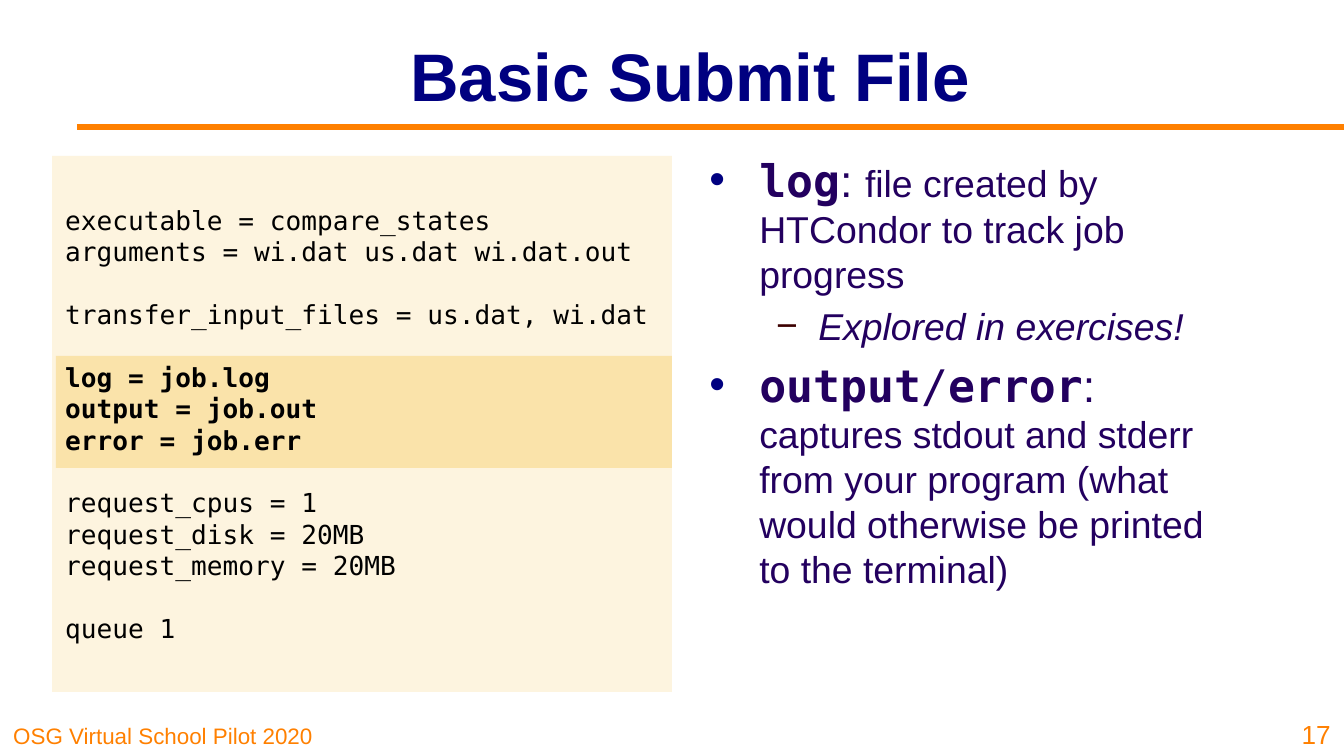
from lxml.etree import SubElement
from pptx import Presentation
from pptx.dml.color import RGBColor
from pptx.enum.shapes import MSO_CONNECTOR as Connector, MSO_SHAPE as Shape
from pptx.enum.text import MSO_ANCHOR as Anchor, PP_ALIGN as Align
from pptx.oxml.ns import qn
from pptx.util import Pt

EMU_PER_PX = 914400 * 10 / 1344
SANS, MONO = "Arial", "DejaVu Sans Mono"
COLORS = {
    "navy": "000080", "orange": "FF8000", "purple": "23005F", "maroon": "3C0000",
    "black": "000000", "cream": "FDF4DF", "amber": "FAE3AA",
}
TERM = dict(name=MONO, size=24, bold=True, color="purple")
SLASH = dict(TERM, bold=False)
COLON = dict(name=SANS, size=24, color="purple")
PLAIN = dict(COLON, size=20)
ASIDE = dict(PLAIN, italic=True)
CODE = dict(name=MONO, size=14, color="black")

# level: (bullet, bullet colour, left margin px, hanging px, space before pt)
BULLETS = {0: ("•", "navy", 50, 50, 5), 1: ("−", "maroon", 109, 42, 4)}
EXPLANATIONS = [
    (0, [("log", TERM), (": ", COLON),
         ("file created by HTCondor to track job progress", PLAIN)]),
    (1, [("Explored in exercises!", ASIDE)]),
    (0, [("output", TERM), ("/", SLASH), ("error", TERM), (": ", COLON),
         ("captures stdout and stderr from your program "
          "(what would otherwise be printed to the terminal)", PLAIN)]),
]
SUBMIT_FILE = [
    ["executable = compare_states", "arguments = wi.dat us.dat wi.dat.out"],
    ["transfer_input_files = us.dat, wi.dat"],
    ["log = job.log", "output = job.out", "error = job.err"],
    ["request_cpus = 1", "request_disk = 20MB", "request_memory = 20MB"],
    ["queue 1"],
]
HIGHLIGHTED = 2
CODE_LINE = 16.8


def px(*lengths):
    return [round(length * EMU_PER_PX) for length in lengths]


def rgb(color):
    return RGBColor.from_string(COLORS[color])


class SlideBuilder:
    """Holds the slide being built and the way its elements are styled."""

    def __init__(self, slide):
        self.slide = slide

    def add_text(self, paragraph, text, style):
        run = paragraph.add_run()
        run.text = text
        for key, value in style.items():
            if key == "color":
                run.font.color.rgb = rgb(value)
            else:
                setattr(run.font, key, Pt(value) if key == "size" else value)

    def title(self, box, text, style):
        holder = self.slide.shapes.title
        holder.left, holder.top, holder.width, holder.height = px(*box)
        frame = holder.text_frame
        frame.vertical_anchor = Anchor.MIDDLE
        frame.paragraphs[0].alignment = Align.CENTER
        self.add_text(frame.paragraphs[0], text, style)

    def rule(self, x1, x2, y, color, width):
        line = self.slide.shapes.add_connector(Connector.STRAIGHT, *px(x1, y, x2, y))
        line.line.color.rgb = rgb(color)
        line.line.width = Pt(width)
        SubElement(line._element.spPr, qn("a:effectLst"))

    def panel(self, box, color):
        panel = self.slide.shapes.add_shape(Shape.RECTANGLE, *px(*box))
        panel.shadow.inherit = False
        panel.fill.solid()
        panel.fill.fore_color.rgb = rgb(color)
        panel.line.fill.background()

    def frame(self, box, anchor):
        frame = self.slide.shapes.add_textbox(*px(*box)).text_frame
        frame.word_wrap = True
        frame.vertical_anchor = anchor
        return frame

    def label(self, box, text, style, align=Align.LEFT):
        paragraph = self.frame(box, Anchor.BOTTOM).paragraphs[0]
        paragraph.alignment = align
        self.add_text(paragraph, text, style)

    def bullets(self, box, items):
        frame = self.frame(box, Anchor.TOP)
        for index, (level, runs) in enumerate(items):
            paragraph = frame.add_paragraph() if index else frame.paragraphs[0]
            mark, color, margin, hanging, space = BULLETS[level]
            paragraph.level = level
            props = paragraph._p.get_or_add_pPr()
            margin, hanging = px(margin, hanging)
            props.set("marL", str(margin))
            props.set("indent", str(-hanging))
            SubElement(SubElement(props, qn("a:buClr")), qn("a:srgbClr"), val=COLORS[color])
            SubElement(props, qn("a:buFont"), typeface=SANS)
            SubElement(props, qn("a:buChar"), char=mark)
            if index:
                paragraph.space_before = Pt(space)
            for text, style in runs:
                self.add_text(paragraph, text, style)

    def code(self, box, groups):
        """Add groups of code lines, one line of space between groups."""
        frame = self.frame(box, Anchor.MIDDLE)
        for group_index, group in enumerate(groups):
            style = dict(CODE, bold=group_index == HIGHLIGHTED)
            for line_index, line in enumerate(group):
                first = group_index == line_index == 0
                paragraph = frame.paragraphs[0] if first else frame.add_paragraph()
                if line_index == 0 and not first:
                    paragraph.space_before = Pt(CODE_LINE)
                self.add_text(paragraph, line, style)


def main():
    deck = Presentation()
    deck.slide_width, deck.slide_height = px(1344, 756)
    builder = SlideBuilder(deck.slides.add_slide(deck.slide_layouts[5]))
    code_box = (52, 156, 620, 536)

    builder.label((0, 714, 333, 42), "OSG Virtual School Pilot 2020",
                  dict(name=SANS, size=12, color="orange"))
    builder.rule(77, 1344, 127, "orange", 3)
    builder.title((180, 12, 1021, 126), "Basic Submit File",
                  dict(name=SANS, size=36, bold=True, color="navy"))
    builder.bullets((696, 146, 560, 516), EXPLANATIONS)
    builder.panel(code_box, "cream")
    builder.panel((56, 356, 616, 112), "amber")
    builder.code(code_box, SUBMIT_FILE)
    builder.label((1282, 705, 62, 51), "17",
                  dict(name=SANS, size=14, color="orange"), Align.RIGHT)
    deck.save("out.pptx")


if __name__ == "__main__":
    main()
